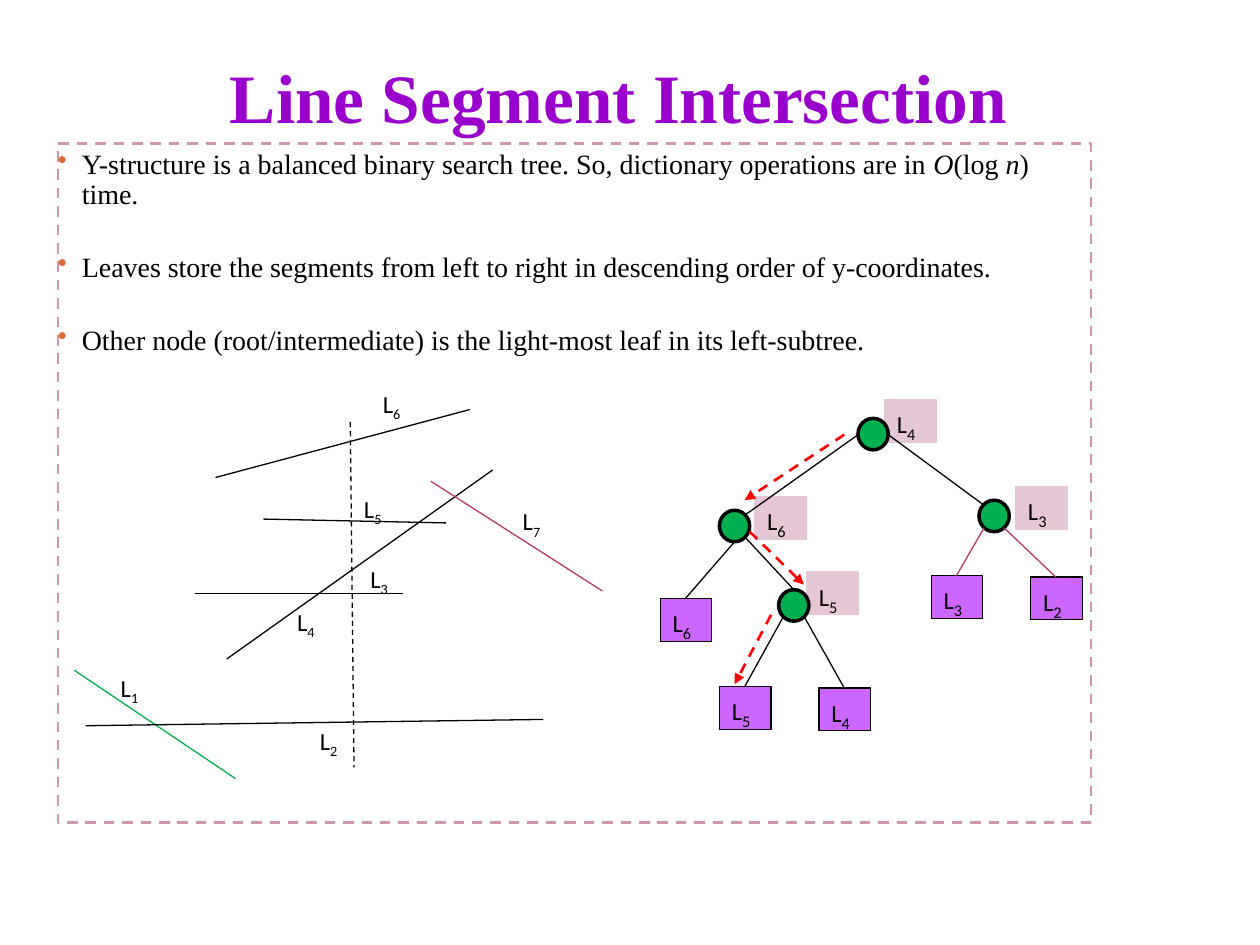
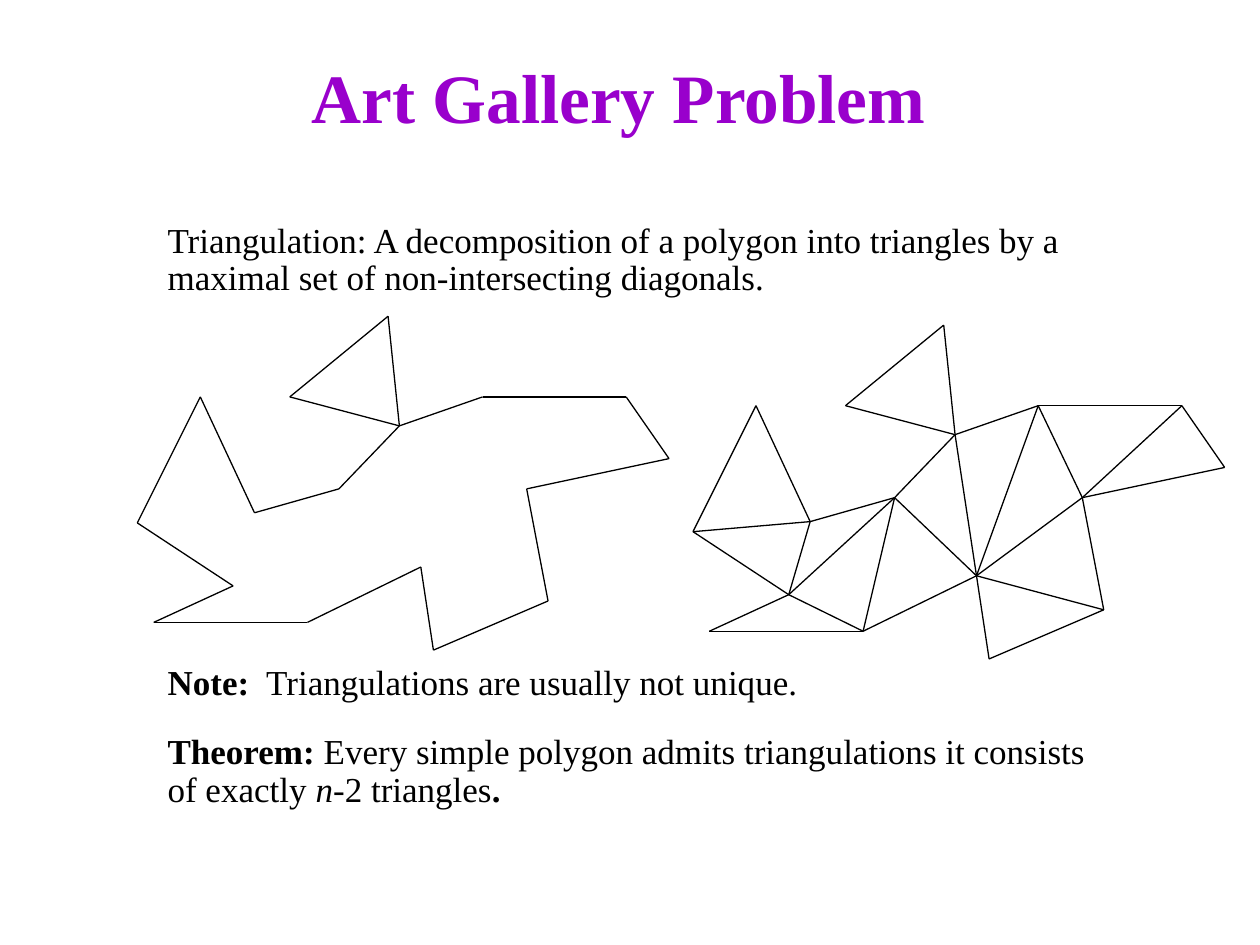
from itertools import pairwise

from lxml import etree
from pptx import Presentation
from pptx.dml.color import RGBColor
from pptx.enum.dml import MSO_LINE
from pptx.enum.shapes import MSO_CONNECTOR, MSO_SHAPE
from pptx.enum.text import MSO_ANCHOR, PP_ALIGN
from pptx.oxml.ns import qn
from pptx.util import Inches, Pt

STRAIGHT, DASH = MSO_CONNECTOR.STRAIGHT, MSO_LINE.DASH
RECTANGLE, OVAL = MSO_SHAPE.RECTANGLE, MSO_SHAPE.OVAL
TOP, BOTTOM = MSO_ANCHOR.TOP, MSO_ANCHOR.BOTTOM
LEFT, CENTER = PP_ALIGN.LEFT, PP_ALIGN.CENTER

BLACK = RGBColor(0x00, 0x00, 0x00)
PURPLE = RGBColor(0x99, 0x00, 0xCC)
VIOLET = RGBColor(0xCC, 0x66, 0xFF)
PINK = RGBColor(0xE5, 0xC6, 0xD5)
ROSE = RGBColor(0xCF, 0x96, 0xB0)
CRIMSON = RGBColor(0xB7, 0x39, 0x65)
GREEN = RGBColor(0x00, 0xB0, 0x50)
RED = RGBColor(0xFF, 0x00, 0x00)
BULLET_COLOR = "DE6C36"

SERIF, SANS = "Times New Roman", "Calibri"
BOLD, ITALIC = {"bold": True}, {"italic": True}
BODY_INSETS = (0, 0.05, 0.02, 0.05)
LABEL_INSETS = (0.1, 0.05, 0.1, 0.05)


class Deck:
    """Holds the shared style and the slide being filled."""

    def __init__(self):
        self.presentation = Presentation()
        self.presentation.slide_width = Inches(10)
        self.presentation.slide_height = Inches(7.5)
        self.slide = None

    def new_slide(self, title):
        layout = self.presentation.slide_layouts[6]
        self.slide = self.presentation.slides.add_slide(layout)
        box = self.text_box(0.23, 0.36, 9.38, 0.73)
        frame = self.frame(box, (0, 0, 0.02, 0), BOTTOM)
        paragraph = frame.paragraphs[0]
        paragraph.alignment = CENTER
        self.run(paragraph, title, size=Pt(39.6), color=PURPLE, bold=True)

    def text_box(self, *place):
        return self.slide.shapes.add_textbox(*map(Inches, place))

    def frame(self, shape, insets, anchor=TOP):
        frame = shape.text_frame
        left, top, right, bottom = map(Inches, insets)
        settings = {"margin_left": left, "margin_top": top,
                    "margin_right": right, "margin_bottom": bottom,
                    "word_wrap": True, "vertical_anchor": anchor}
        for name, value in settings.items():
            setattr(frame, name, value)
        return frame

    def run(self, paragraph, text, color=BLACK, **formats):
        run = paragraph.add_run()
        run.text = text
        run.font.color.rgb = color
        for name, value in ({"name": SERIF} | formats).items():
            setattr(run.font, name, value)
        return run

    def shape(self, kind, place, line, width, fill=None, dash=None):
        shape = self.slide.shapes.add_shape(kind, *map(Inches, place))
        shape.shadow.inherit = False
        if fill is None:
            shape.fill.background()
        else:
            shape.fill.solid()
            shape.fill.fore_color.rgb = fill
        shape.line.color.rgb = line
        shape.line.width = Pt(width)
        if dash:
            shape.line.dash_style = dash
        return shape

    def body(self, shape, size, paragraphs, bullets=False):
        """Each paragraph is its space before in points and its runs."""
        frame = self.frame(shape, BODY_INSETS)
        for index, (space, runs) in enumerate(paragraphs):
            paragraph = frame.add_paragraph() if index else frame.paragraphs[0]
            paragraph.alignment = LEFT
            paragraph.line_spacing = 0.9
            paragraph.space_before = Pt(space)
            for text, formats in runs:
                self.run(paragraph, text, size=Pt(size), **formats)
            if bullets:
                self.bullet(paragraph)

    def bullet(self, paragraph):
        properties = paragraph._p.get_or_add_pPr()
        properties.set("marL", str(Inches(0.19)))
        properties.set("indent", str(Inches(-0.19)))
        color = etree.SubElement(properties, qn("a:buClr"))
        etree.SubElement(color, qn("a:srgbClr"), val=BULLET_COLOR)
        etree.SubElement(properties, qn("a:buSzPct"), val="95000")
        etree.SubElement(properties, qn("a:buChar"), char="•")

    def label(self, shape, number, subscript_size=14):
        """Writes L with a subscript number into a shape."""
        paragraph = self.frame(shape, LABEL_INSETS).paragraphs[0]
        paragraph.alignment = LEFT
        self.run(paragraph, "L", name=SANS, size=Pt(14))
        subscript = self.run(paragraph, str(number), name=SANS,
                             size=Pt(subscript_size))
        subscript._r.get_or_add_rPr().set("baseline", "-25000")

    def label_box(self, left, top, number, fill, line):
        box = self.shape(RECTANGLE, (left, top, 0.41, 0.34), line, 0.75, fill)
        self.label(box, number, 16)

    def line(self, start, end, color=BLACK, width=0.75, dash=None, arrow=False):
        connector = self.slide.shapes.add_connector(
            STRAIGHT, *map(Inches, (*start, *end)))
        connector.line.color.rgb = color
        connector.line.width = Pt(width)
        if dash:
            connector.line.dash_style = dash
        if arrow:
            outline = connector.line._get_or_add_ln()
            etree.SubElement(outline, qn("a:tailEnd"), type="triangle")
        etree.SubElement(connector._element.spPr, qn("a:effectLst"))


deck = Deck()

# Slide 1: segments and their search tree
deck.new_slide("Line Segment Intersection")
panel = deck.shape(RECTANGLE, (0.46, 1.14, 8.2, 5.39), ROSE, 1.5, dash=DASH)
deck.body(panel, 16, [
    (0, [("Y-structure is a balanced binary search tree. So, dictionary "
          "operations are in ", {}), ("O", ITALIC), ("(log ", {}),
         ("n", ITALIC), (") time.", {})]),
    (24.5, [("Leaves store the segments from left to right in descending "
             "order of y-coordinates.", {})]),
    (24.5, [("Other node (root/intermediate) is the light-most leaf in its "
             "left-subtree.", {})]),
], bullets=True)

# Segments with the dashed sweep line
SEGMENT_LABELS = [(1, 0.86, 5.29), (2, 2.44, 5.71), (3, 2.84, 4.43),
                  (4, 2.26, 4.77), (5, 2.79, 3.87), (6, 2.94, 3.04),
                  (7, 4.05, 3.97)]
for number, left, top in SEGMENT_LABELS:
    deck.label(deck.text_box(left, top, 0.42, 0.4), number)

SEGMENTS = [((0.59, 5.32), (1.87, 6.18), GREEN),
            ((0.68, 5.76), (4.31, 5.71), BLACK),
            ((1.55, 4.71), (3.2, 4.71), BLACK),
            ((1.8, 5.23), (3.91, 3.73), BLACK),
            ((2.09, 4.12), (3.54, 4.15), BLACK),
            ((1.71, 3.79), (3.73, 3.25), BLACK),
            ((3.42, 3.82), (4.78, 4.69), CRIMSON)]
for start, end, color in SEGMENTS:
    deck.line(start, end, color)
deck.line((2.78, 3.35), (2.81, 6.09), dash=DASH)

# Tree: inner node tags, inner nodes, leaves
for number, left, top in [(4, 7.02, 3.17), (5, 6.4, 4.54),
                          (6, 5.99, 3.94), (3, 8.06, 3.86)]:
    deck.label_box(left, top, number, PINK, PINK)
for left, top in [(6.81, 3.32), (5.71, 4.05), (7.77, 3.97), (6.18, 4.68)]:
    deck.shape(OVAL, (left, top, 0.24, 0.25), BLACK, 2, GREEN)
for number, left, top in [(6, 5.24, 4.75), (5, 5.71, 5.45), (4, 6.5, 5.46),
                          (3, 7.39, 4.57), (2, 8.18, 4.58)]:
    deck.label_box(left, top, number, VIOLET, BLACK)

# Tree edges and the search path
EDGES = [((6.81, 3.45), (5.91, 4.09), BLACK),
         ((7.05, 3.45), (7.81, 4.01), BLACK),
         ((5.83, 4.3), (5.44, 4.75), BLACK),
         ((5.91, 4.26), (6.3, 4.68), BLACK),
         ((6.22, 4.89), (5.91, 5.45), BLACK),
         ((6.38, 4.89), (6.7, 5.46), BLACK),
         ((7.81, 4.19), (7.59, 4.57), CRIMSON),
         ((7.97, 4.19), (8.38, 4.58), CRIMSON)]
for start, end, color in EDGES:
    deck.line(start, end, color)
SEARCH_PATH = [((6.7, 3.45), (5.91, 3.97)), ((5.95, 4.22), (6.38, 4.64)),
               ((6.12, 4.88), (5.83, 5.43))]
for start, end in SEARCH_PATH:
    deck.line(start, end, RED, 1.5, DASH, arrow=True)

# Slide 2: a polygon and its triangulation
deck.new_slide("Art Gallery Problem")
deck.body(deck.text_box(1.33, 1.72, 7.58, 5.47), 20, [
    (0, [("Triangulation: A decomposition of a polygon into triangles by a "
          "maximal set of non-intersecting diagonals.", {})]),
    (209.5, [("Note: ", BOLD),
             (" Triangulations are usually not unique.", {})]),
    (18, [("Theorem: ", BOLD),
          ("Every simple polygon admits triangulations it consists of "
           "exactly ", {}), ("n", ITALIC), ("-2 triangles", {}), (".", BOLD)]),
])

VERTICES = {"A": (1.09, 4.15), "B": (1.59, 3.15), "C": (2.02, 4.07),
            "D": (2.69, 3.88), "E": (3.17, 3.38), "F": (2.3, 3.15),
            "G": (3.08, 2.51), "H": (3.83, 3.15), "I": (4.97, 3.15),
            "J": (5.31, 3.64), "K": (4.18, 3.88), "L": (4.35, 4.77),
            "M": (3.44, 5.16), "N": (3.34, 4.5), "O": (2.44, 4.94),
            "P": (1.22, 4.94), "Q": (1.85, 4.65)}
BOUNDARY = list(pairwise("ABCDEFGEHIJKLMNOPQA"))
DIAGONALS = ["AC", "CQ", "QO", "QD", "DN", "DO",
             "EN", "NL", "NK", "HK", "HN", "KI"]


def draw_sides(sides, right=0, down=0):
    for side in sides:
        start, end = ((VERTICES[name][0] + right, VERTICES[name][1] + down)
                      for name in side)
        deck.line(start, end)


draw_sides(BOUNDARY)
draw_sides(BOUNDARY + DIAGONALS, right=4.41, down=0.07)

deck.presentation.save("out.pptx")
